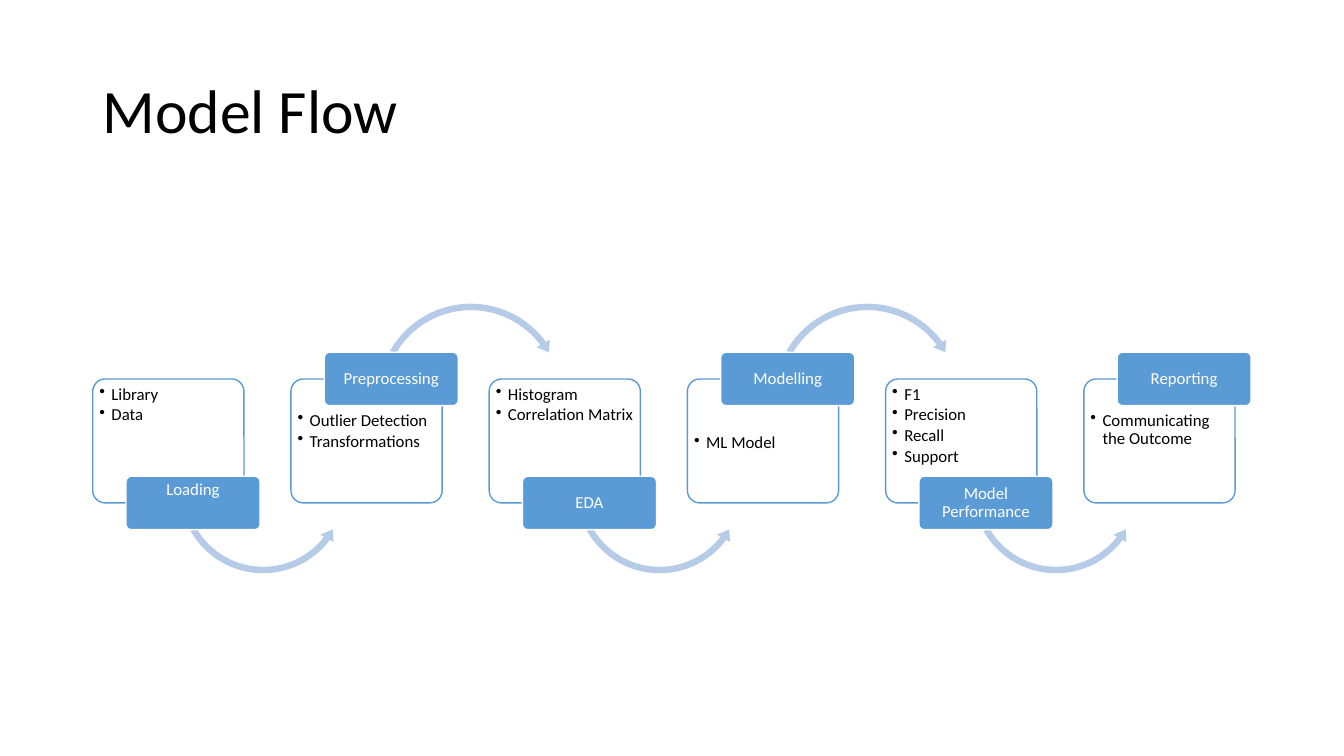
from pptx import Presentation
from pptx import util as u
from pptx.dml.color import RGBColor
from pptx.enum import shapes, text
from pptx.oxml.ns import qn
from lxml import etree

BLACK = RGBColor(0x00, 0x00, 0x00)
WHITE = RGBColor(0xFF, 0xFF, 0xFF)
BLUE = RGBColor(0x5B, 0x9B, 0xD5)
PALE_BLUE = RGBColor(0xB5, 0xCB, 0xE7)
FONT = "Calibri"

# Step name, bullets, extra inset above the bullets, extra inset below the name
STEPS = [
    ("Loading", ["Library", "Data"], 0, 0.26),
    ("Preprocessing", ["Outlier Detection", "Transformations"], 0, 0),
    ("EDA", ["Histogram", "Correlation Matrix"], 0, 0),
    ("Modelling", ["ML Model"], 0.22, 0),
    ("Model Performance", ["F1", "Precision", "Recall", "Support"], 0, 0),
    ("Reporting", ["Communicating the Outcome"], 0, 0),
]
CARD_WIDTH, CARD_HEIGHT = 1.5, 1.23
TAG_WIDTH, TAG_HEIGHT = 1.33, 0.53
LOWER_ARROW = (shapes.MSO_SHAPE.LEFT_CIRCULAR_ARROW, 0.23, 1.74,
               (0.037, 4.574, 22.329, 90.245, 0.043))
UPPER_ARROW = (shapes.MSO_SHAPE.CIRCULAR_ARROW, -0.79, 1.93,
               (0.033, 4.086, 194.159, 125.755, 0.039))


def add_block(page, kind, left, top, width, height, adjustments, fill, line=None):
    block = page.shapes.add_shape(kind, *map(u.Inches, (left, top, width, height)))
    block.shadow.inherit = False
    for index, value in enumerate(adjustments):
        block.adjustments[index] = value
    block.fill.solid()
    block.fill.fore_color.rgb = fill
    if line is None:
        block.line.fill.background()
    else:
        block.line.color.rgb = line
        block.line.width = u.Pt(1)
    return block


def set_insets(frame, left, top, right, bottom):
    frame.margin_left, frame.margin_top = u.Inches(left), u.Inches(top)
    frame.margin_right, frame.margin_bottom = u.Inches(right), u.Inches(bottom)


def format_para(para, size, color, align):
    para.alignment = align
    para.line_spacing = 0.9
    for span in para.runs:
        span.font.name = FONT
        span.font.size = u.Pt(size)
        span.font.color.rgb = color


def add_bullet(para):
    props = para._p.get_or_add_pPr()
    props.set("marL", str(u.Inches(0.12)))
    props.set("indent", str(-u.Inches(0.12)))
    etree.SubElement(props, qn("a:buChar")).set("char", "•")


def add_title(page, left, top, width, height):
    title = page.shapes.title
    title.left, title.top = u.Inches(left), u.Inches(top)
    title.width, title.height = u.Inches(width), u.Inches(height)
    title.text_frame.text = "Model Flow"
    title.text_frame.vertical_anchor = text.MSO_ANCHOR.MIDDLE
    format_para(title.text_frame.paragraphs[0], 44, BLACK, text.PP_ALIGN.LEFT)


def add_card(page, left, top, bullets, inset_top):
    card = add_block(page, shapes.MSO_SHAPE.ROUNDED_RECTANGLE, left, top,
                     CARD_WIDTH, CARD_HEIGHT, [0.1], WHITE, BLUE)
    frame = card.text_frame
    frame.vertical_anchor = text.MSO_ANCHOR.TOP
    set_insets(frame, 0.03, inset_top, 0.02, 0)
    frame.text = "\n".join(bullets)
    for para in frame.paragraphs:
        format_para(para, 12, BLACK, text.PP_ALIGN.LEFT)
        para.space_after = u.Pt(1.8)
        add_bullet(para)


def add_tag(page, left, top, name, extra_bottom):
    tag = add_block(page, shapes.MSO_SHAPE.ROUNDED_RECTANGLE, left, top,
                    TAG_WIDTH, TAG_HEIGHT, [0.1], BLUE, WHITE)
    frame = tag.text_frame
    frame.vertical_anchor = text.MSO_ANCHOR.MIDDLE
    set_insets(frame, 0.03, 0.02, 0.03, 0.02 + extra_bottom)
    frame.text = name
    format_para(frame.paragraphs[0], 12, WHITE, text.PP_ALIGN.CENTER)


def add_flow(page, left, top, width):
    # Name tags alternate between the lower and upper edge of the cards
    pitch = (width - CARD_WIDTH) / (len(STEPS) - 1)
    for index, (name, bullets, extra_top, extra_bottom) in enumerate(STEPS):
        x = left + index * pitch
        is_lower = index % 2 == 0
        add_card(page, x, top, bullets, (0.03 if is_lower else 0.29) + extra_top)
        if index < len(STEPS) - 1:
            kind, drop, size, adjustments = LOWER_ARROW if is_lower else UPPER_ARROW
            add_block(page, kind, x + 0.82, top + drop, size, size,
                      adjustments, PALE_BLUE)
        edge = top + CARD_HEIGHT if is_lower else top
        add_tag(page, x + 0.33, edge - TAG_HEIGHT / 2, name, extra_bottom)


def main():
    deck = Presentation()
    deck.slide_width, deck.slide_height = u.Inches(13.33), u.Inches(7.5)
    page = deck.slides.add_slide(deck.slide_layouts[5])
    add_title(page, 0.92, 0.4, 11.5, 1.45)
    add_flow(page, 0.92, 3.76, 11.33)
    deck.save("out.pptx")


if __name__ == "__main__":
    main()
